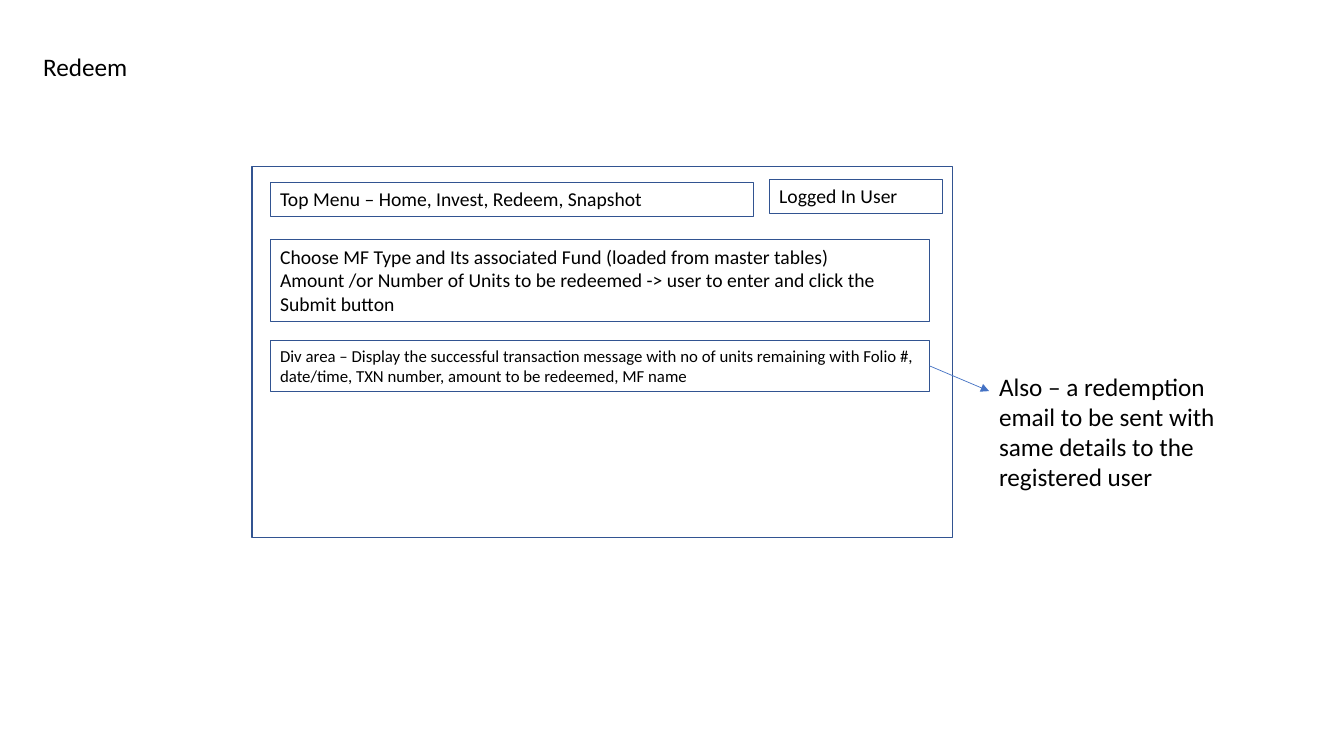
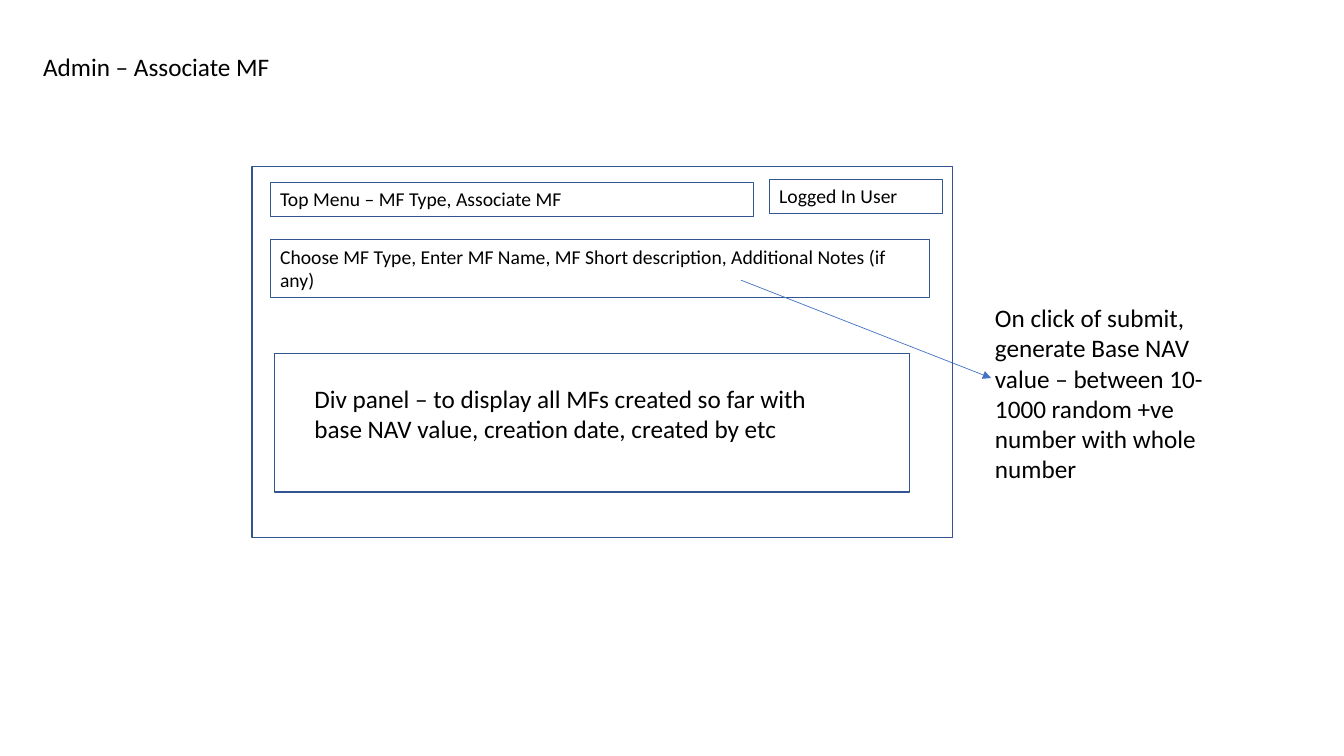
import pptx
import pptx.dml.color
import pptx.enum.shapes
import pptx.enum.text
import pptx.oxml
import pptx.oxml.ns
import pptx.util

Inches = pptx.util.Inches

FONT = "Calibri"
COLORS = {"text": "000000", "outline": "325491", "arrow": "4472C4"}
FRAME = (2.5, 1.65, 6.95, 3.68)
MENU = (2.68, 1.81, 4.79, 0.34)
USER = (7.63, 1.78, 1.72, 0.34)
FORM_LEFT, FORM_TOP, FORM_WIDTH = 2.68, 2.38, 6.54

# Boxes and labels: (place, text size, paragraphs).
# Arrow start: a point, or the index of a box whose right side it leaves.
SCREENS = [
    {
        "title": "Redeem",
        "title_width": 2.81,
        "menu": "Top Menu – Home, Invest, Redeem, Snapshot",
        "boxes": [
            ((FORM_LEFT, FORM_TOP, FORM_WIDTH, 0.81), 14, [
                "Choose MF Type and Its associated Fund (loaded from master tables)",
                "Amount /or Number of Units to be redeemed -> user to enter and click the Submit button",
            ]),
            ((FORM_LEFT, 3.38, FORM_WIDTH, 0.5), 12, [
                "Div area – Display the successful transaction message with no of units remaining "
                "with Folio #, date/time, TXN number, amount to be redeemed, MF name",
            ]),
        ],
        "panels": [],
        "labels": [
            ((9.81, 3.63, 2.85, 1.31), 18, [
                "Also – a redemption email to be sent with same details to the registered user",
            ]),
        ],
        "arrow_start": 1,
        "arrow_end": (9.81, 3.88),
    },
    {
        "title": "Admin – Associate MF",
        "title_width": 4.47,
        "menu": "Top Menu – MF Type, Associate MF",
        "boxes": [
            ((FORM_LEFT, FORM_TOP, FORM_WIDTH, 0.57), 14, [
                "Choose MF Type, Enter MF Name, MF Short description, Additional Notes (if any)",
            ]),
        ],
        "panels": [(2.72, 3.51, 6.3, 1.37)],
        "labels": [
            ((9.77, 2.95, 2.45, 1.92), 18, [
                "On click of submit, generate Base NAV value – between 10-1000 random +ve number "
                "with whole number",
            ]),
            ((3.02, 3.75, 5.5, 0.71), 18, [
                "Div panel – to display all MFs created so far with base NAV value, "
                "creation date, created by etc",
            ]),
        ],
        "arrow_start": (7.35, 2.78),
        "arrow_end": (9.83, 3.75),
    },
]


def color(name):
    return pptx.dml.color.RGBColor.from_string(COLORS[name])


def write(shape, size, paragraphs):
    frame = shape.text_frame
    frame_format = {
        "word_wrap": True,
        "auto_size": pptx.enum.text.MSO_AUTO_SIZE.SHAPE_TO_FIT_TEXT,
        "vertical_anchor": pptx.enum.text.MSO_ANCHOR.TOP,
    }
    for name, value in frame_format.items():
        setattr(frame, name, value)
    font_format = {"name": FONT, "size": pptx.util.Pt(size)}
    for index, text in enumerate(paragraphs):
        paragraph = frame.add_paragraph() if index else frame.paragraphs[0]
        paragraph.alignment = pptx.enum.text.PP_ALIGN.LEFT
        run = paragraph.add_run()
        run.text = text
        for name, value in font_format.items():
            setattr(run.font, name, value)
        run.font.color.rgb = color("text")


def add_outline(slide, place, line_width):
    rectangle = slide.shapes.add_shape(
        pptx.enum.shapes.MSO_SHAPE.RECTANGLE, *map(Inches, place))
    rectangle.shadow.inherit = False
    rectangle.fill.background()
    rectangle.line.color.rgb = color("outline")
    rectangle.line.width = pptx.util.Pt(line_width)
    return rectangle


def add_box(slide, place, size, paragraphs):
    box = add_outline(slide, place, 0.75)
    write(box, size, paragraphs)
    return box


def add_label(slide, place, size, paragraphs):
    write(slide.shapes.add_textbox(*map(Inches, place)), size, paragraphs)


def add_arrow(slide, start, end, boxes):
    """Draw an arrow from a point, or from the right side of boxes[start]."""
    joined = isinstance(start, int)
    begin = (0, 0) if joined else start
    arrow = slide.shapes.add_connector(
        pptx.enum.shapes.MSO_CONNECTOR.STRAIGHT, *map(Inches, begin + end))
    if joined:
        arrow.begin_connect(boxes[start], 3)
    arrow.line.color.rgb = color("arrow")
    arrow.line.width = pptx.util.Pt(0.5)
    namespace = pptx.oxml.ns.nsdecls("a")
    properties = arrow.element.spPr
    properties.find(pptx.oxml.ns.qn("a:ln")).append(
        pptx.oxml.parse_xml(f'<a:tailEnd {namespace} type="triangle"/>'))
    properties.append(pptx.oxml.parse_xml(f"<a:effectLst {namespace}/>"))


def add_screen(presentation, screen):
    slide = presentation.slides.add_slide(presentation.slide_layouts[6])
    add_label(slide, (0.33, 0.46, screen["title_width"], 0.4), 18, [screen["title"]])
    add_outline(slide, FRAME, 1)
    add_box(slide, MENU, 14, [screen["menu"]])
    add_box(slide, USER, 14, ["Logged In User"])
    boxes = [add_box(slide, *box) for box in screen["boxes"]]
    for panel in screen["panels"]:
        add_outline(slide, panel, 1)
    for label in screen["labels"]:
        add_label(slide, *label)
    add_arrow(slide, screen["arrow_start"], screen["arrow_end"], boxes)


def main():
    presentation = pptx.Presentation()
    presentation.slide_width = Inches(13.33)
    presentation.slide_height = Inches(7.5)
    for screen in SCREENS:
        add_screen(presentation, screen)
    presentation.save("out.pptx")


if __name__ == "__main__":
    main()
